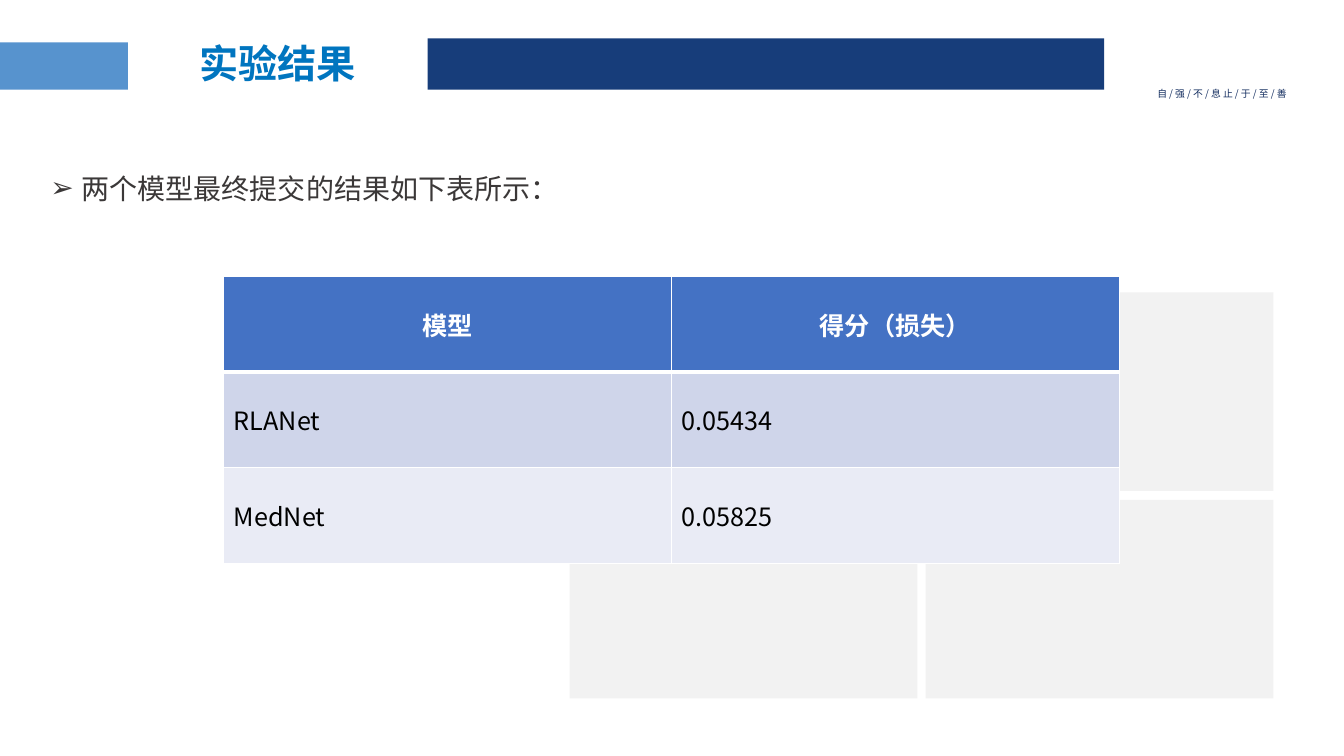
from lxml.etree import SubElement
from pptx import Presentation
from pptx.dml.color import RGBColor
from pptx.enum.shapes import MSO_SHAPE
from pptx.enum.text import MSO_ANCHOR, MSO_AUTO_SIZE, PP_ALIGN
from pptx.oxml.ns import qn
from pptx.util import Emu, Pt

FONT = "Noto Sans CJK SC"
EMU_PER_PX = 9144  # 100 px to the inch
WHITE = "FFFFFF"
RESULTS = [("模型", "得分（损失）"), ("RLANet", "0.05434"), ("MedNet", "0.05825")]
ROW_FILLS = ["4472C4", "CFD5EA", "E9EBF5"]


def px(length):
    return Emu(length * EMU_PER_PX)


def color(hex_string):
    return RGBColor.from_string(hex_string)


def style_paragraph(para, size, hex_color, bold=False, align=PP_ALIGN.LEFT):
    para.alignment = align
    para.space_before = Pt(0)
    font = para.font
    font.size, font.bold, font.name = Pt(size), bold, FONT
    font.color.rgb = color(hex_color)
    defaults = para._p.pPr.find(qn("a:defRPr"))
    SubElement(defaults, qn("a:ea"), typeface=FONT)


def add_block(page, left, top, width, height, fill):
    block = page.shapes.add_shape(
        MSO_SHAPE.RECTANGLE, px(left), px(top), px(width), px(height))
    block.shadow.inherit = False
    block.fill.solid()
    block.fill.fore_color.rgb = color(fill)
    block.line.fill.background()


def place_text(box, left, top, width, height, text, inset_x=10, inset_y=5):
    """Position a text shape, fill it and return its paragraph."""
    box.left, box.top, box.width, box.height = map(px, (left, top, width, height))
    frame = box.text_frame
    frame.word_wrap = True
    frame.auto_size = MSO_AUTO_SIZE.NONE
    frame.vertical_anchor = MSO_ANCHOR.TOP
    frame.margin_left = frame.margin_right = px(inset_x)
    frame.margin_top = frame.margin_bottom = px(inset_y)
    frame.text = text
    return frame.paragraphs[0]


def add_bullet(para, character, indent):
    properties = para._p.get_or_add_pPr()
    properties.set("marL", str(px(indent)))
    properties.set("indent", str(-px(indent)))
    SubElement(properties, qn("a:buChar"), char=character)


def set_borders(cell, bottom_width):
    properties = cell._tc.get_or_add_tcPr()
    widths = {"a:lnL": 1, "a:lnR": 1, "a:lnT": 1, "a:lnB": bottom_width}
    for position, (side, width) in enumerate(widths.items()):
        line = SubElement(properties, qn(side), w=str(Pt(width)))
        fill = SubElement(line, qn("a:solidFill"))
        SubElement(fill, qn("a:srgbClr"), val=WHITE)
        properties.insert(position, line)


def add_results_table(page, left, top, column_width, row_height):
    rows, columns = len(RESULTS), len(RESULTS[0])
    table = page.shapes.add_table(
        rows, columns, px(left), px(top),
        px(column_width * columns), px(row_height * rows)).table
    for r, values in enumerate(RESULTS):
        header = r == 0
        for c, value in enumerate(values):
            cell = table.cell(r, c)
            cell.text = value
            cell.vertical_anchor = MSO_ANCHOR.MIDDLE
            cell.fill.solid()
            cell.fill.fore_color.rgb = color(ROW_FILLS[r])
            set_borders(cell, 3 if header else 1)
            style_paragraph(cell.text_frame.paragraphs[0], 18,
                            WHITE if header else "000000", header,
                            PP_ALIGN.CENTER if header else PP_ALIGN.LEFT)


def main():
    deck = Presentation()
    deck.slide_width, deck.slide_height = px(1333), px(750)
    page = deck.slides.add_slide(deck.slide_layouts[1])

    # Header bars and motto
    add_block(page, 424, 38, 671, 51, "173D7A")
    add_block(page, 0, 42, 127, 47, "5793CE")
    motto = place_text(page.shapes.add_textbox(0, 0, 0, 0), 1138, 82, 173, 22,
                       "自 / 强 / 不 / 息 止 / 于 / 至 / 善")
    style_paragraph(motto, 7, "142E60")

    # Two by two grid of grey background blocks
    for row in range(2):
        for column in range(2):
            add_block(page, 565 + 353 * column, 290 + 206 * row, 345, 197, "F2F2F2")

    # Title and bullet
    title = place_text(page.shapes.title, 134, 44, 283, 39, "实验结果", 0, 0)
    title.line_spacing = 0.9
    style_paragraph(title, 28, "0075BF", True, PP_ALIGN.CENTER)
    bullet = place_text(page.placeholders[1], 40, 154, 1253, 405,
                        "两个模型最终提交的结果如下表所示：", inset_y=16)
    add_bullet(bullet, "➢", 31)
    style_paragraph(bullet, 20, "3B3838")

    # Scores
    add_results_table(page, 222, 274, 444, 95)

    deck.save("out.pptx")


if __name__ == "__main__":
    main()
